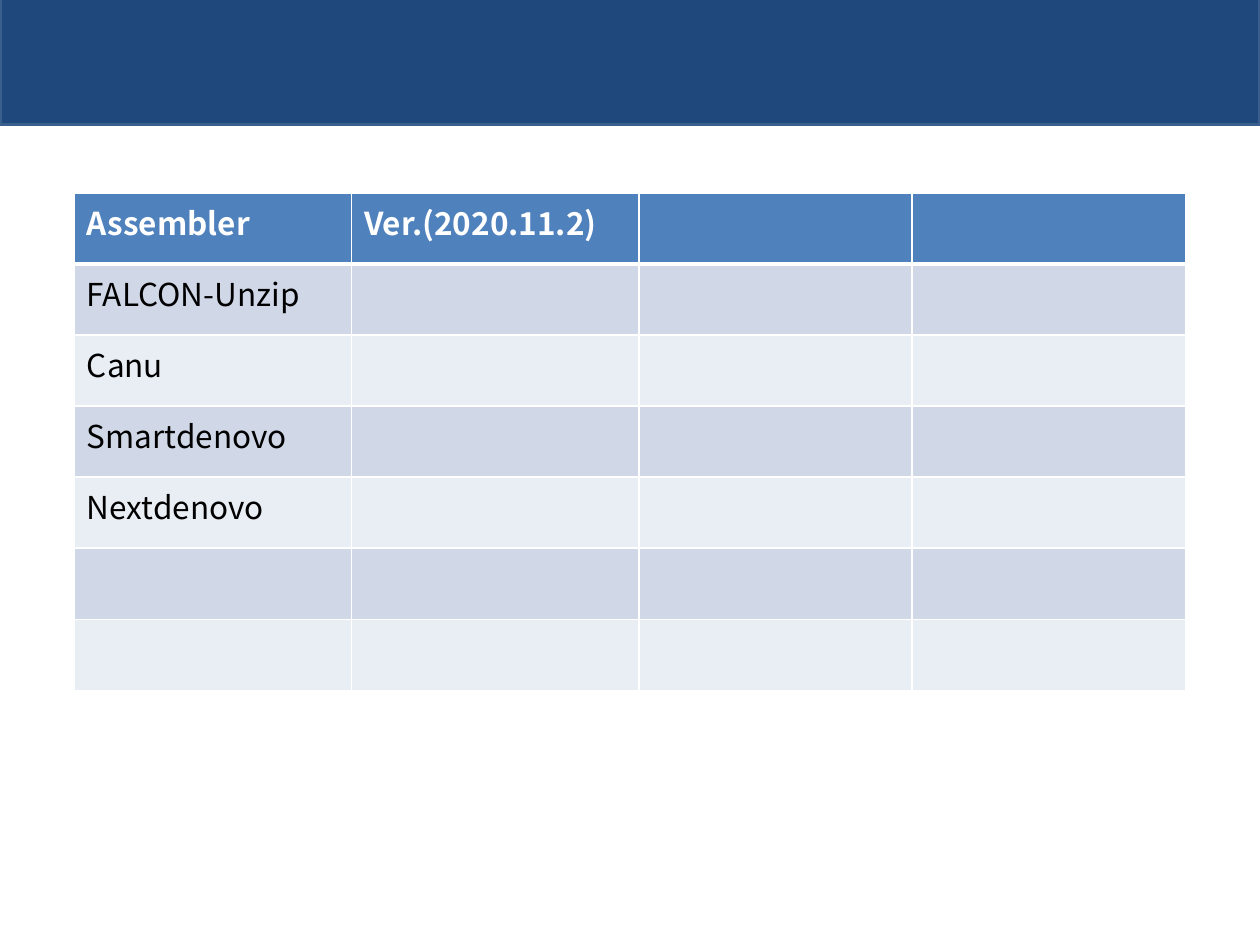
from dataclasses import dataclass

from lxml import etree
from pptx import Presentation
from pptx.dml.color import RGBColor
from pptx.enum.shapes import MSO_SHAPE
from pptx.oxml.ns import qn
from pptx.util import Inches, Pt

RECTANGLE = MSO_SHAPE.RECTANGLE


@dataclass(frozen=True)
class Theme:
    font: str = "Noto Sans CJK KR"
    size: int = 18
    banner: str = "1F497D"
    banner_line: str = "3A5F8C"
    header: str = "4F81BD"
    bands: tuple = ("D0D8E8", "E9EDF4")
    border: str = "FFFFFF"
    header_text: str = "FFFFFF"
    body_text: str = "000000"


THEME = Theme()
COLUMN_WIDTHS = (2.2, 2.28, 2.17, 2.17)
ROW_HEIGHT = 3.95 / 7
ROWS = (
    ("Assembler", "Ver.(2020.11.2)", "", ""),
    ("FALCON-Unzip", "", "", ""),
    ("Canu", "", "", ""),
    ("Smartdenovo", "", "", ""),
    ("Nextdenovo", "", "", ""),
    ("", "", "", ""),
    ("", "", "", ""),
)


def rgb(value):
    return RGBColor.from_string(value)


def add_banner(s):
    sp = s.shapes.add_shape(RECTANGLE, 0, Inches(-0.03), Inches(10), Inches(1.02))
    sp.shadow.inherit = False
    sp.fill.solid()
    sp.fill.fore_color.rgb = rgb(THEME.banner)
    sp.line.color.rgb = rgb(THEME.banner_line)
    sp.line.width = Pt(2)


def set_borders(cell, top, bottom):
    """Draw the four cell edges; the side edges are 1 pt wide."""
    tcPr = cell._tc.get_or_add_tcPr()
    edges = (("lnL", 1), ("lnR", 1), ("lnT", top), ("lnB", bottom))
    for i, (tag, width) in enumerate(edges):
        ln = etree.Element(qn(f"a:{tag}"), w=str(Pt(width)))
        fill = etree.SubElement(ln, qn("a:solidFill"))
        etree.SubElement(fill, qn("a:srgbClr"), val=THEME.border)
        tcPr.insert(i, ln)


def fill_cell(cell, text, row):
    is_header = row == 0
    cell.fill.solid()
    cell.fill.fore_color.rgb = rgb(
        THEME.header if is_header else THEME.bands[(row - 1) % 2])
    set_borders(cell, top=3 if row == 1 else 1, bottom=3 if is_header else 1)
    if text:
        cell.text_frame.text = text
        font = cell.text_frame.paragraphs[0].runs[0].font
        font.name = THEME.font
        font.size = Pt(THEME.size)
        font.bold = is_header
        font.color.rgb = rgb(THEME.header_text if is_header else THEME.body_text)


def add_assembler_table(s):
    table = s.shapes.add_table(
        len(ROWS), len(COLUMN_WIDTHS), Inches(0.59), Inches(1.53),
        Inches(sum(COLUMN_WIDTHS)), Inches(ROW_HEIGHT * len(ROWS))).table
    for column, width in zip(table.columns, COLUMN_WIDTHS):
        column.width = Inches(width)
    for i, texts in enumerate(ROWS):
        table.rows[i].height = Inches(ROW_HEIGHT)
        for j, text in enumerate(texts):
            fill_cell(table.cell(i, j), text, i)


def main():
    prs = Presentation()
    prs.slide_width = Inches(10)
    prs.slide_height = Inches(7.5)
    s = prs.slides.add_slide(prs.slide_layouts[6])
    add_banner(s)
    add_assembler_table(s)
    prs.save("out.pptx")


if __name__ == "__main__":
    main()
